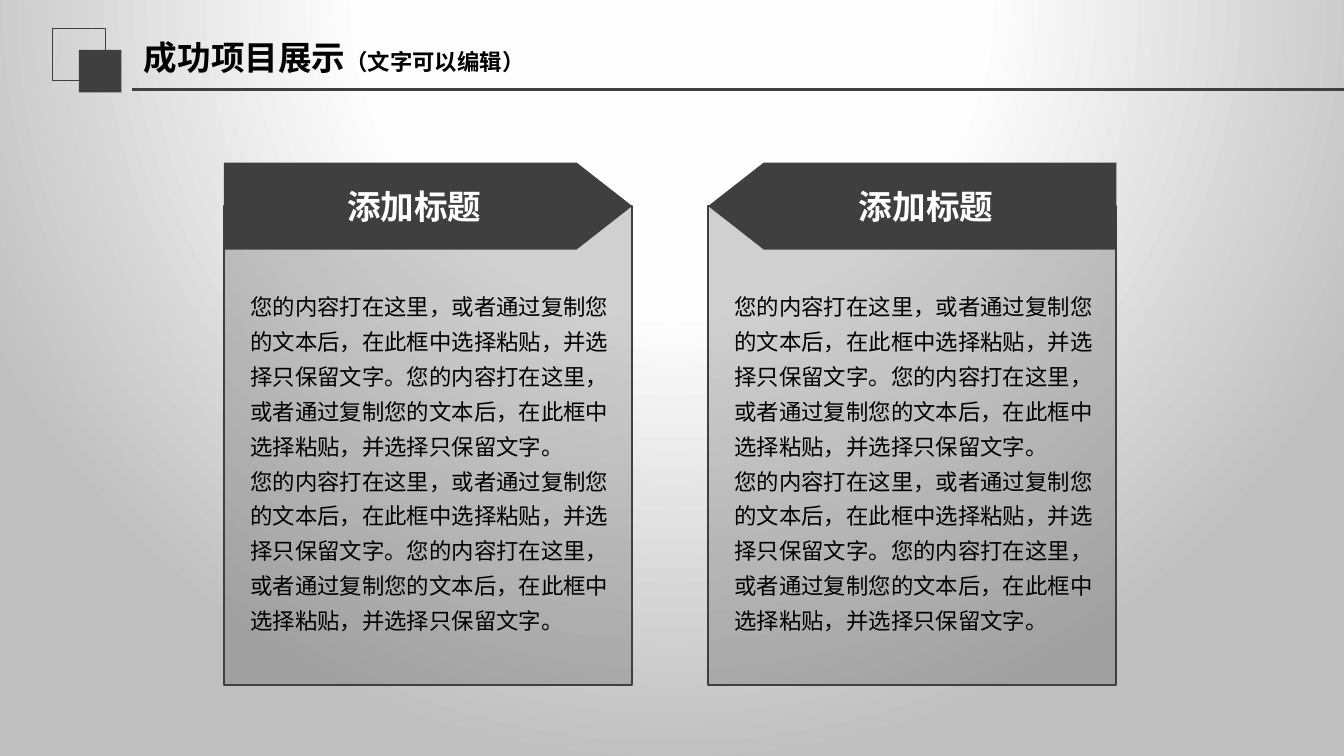
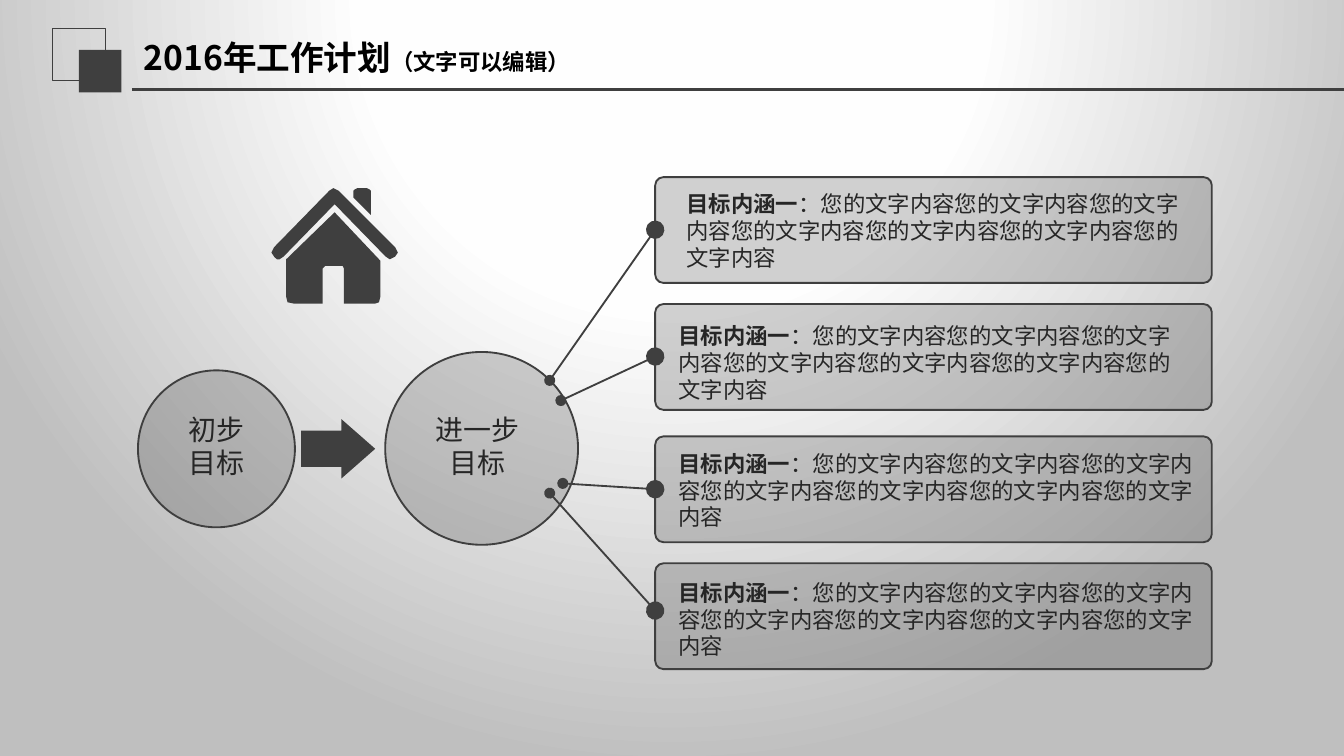
from lxml.etree import SubElement
from pptx import Presentation
from pptx.dml.color import RGBColor
from pptx.enum.shapes import MSO_CONNECTOR, MSO_SHAPE
from pptx.enum.text import MSO_ANCHOR, PP_ALIGN
from pptx.oxml import parse_xml
from pptx.oxml.ns import nsdecls, qn
from pptx.util import Pt

COLORS = {"dark": "3F3F3F", "text": "262626", "black": "000000", "white": "FFFFFF",
          "near_white": "FEFEFE", "silver": "BFBFBF"}
LATIN_FONT = "Calibri"
CHINESE_FONT = "Noto Sans CJK SC"
GLASS_OPACITY = 24
TITLE_BOX = (69.84, 15.12, 256.32, 30.96)
TITLE_NOTE = "（文字可以编辑）"

PANEL_SENTENCE = "您的内容打在这里，或者通过复制您的文本后，在此框中选择粘贴，并选择只保留文字。"
GOAL_HEADING = "目标内涵一"
GOAL_TEXT = "：" + "您的文字内容" * 7

HOUSE_UNIT = 0.72
HOUSE_OUTLINES = {
    "chimney": [(276, 142), (275.4, 140.6), (273, 140), (266, 140), (263.7, 140.6),
                (263, 142), (263, 147), (276, 160)],
    "roof": [(294, 184), (252, 142), (248.5, 140.5), (245, 142), (204, 184), (201.8, 188),
             (204, 191), (206, 193), (208.5, 193), (211, 191), (249, 152), (287, 191),
             (290.5, 193.3), (294, 191), (296, 188)],
    "walls": [(213, 193), (213, 221), (214.5, 224.6), (219, 226), (240, 226), (240, 200),
              (242, 198), (255, 198), (256, 200), (256, 226), (279, 226), (282, 224.6),
              (283, 221), (283, 194), (249, 158)],
}


def rgb(name):
    """Return the named palette colour."""
    return RGBColor.from_string(COLORS[name])


def place(shape, left, top, width, height):
    """Move and size a shape, in points."""
    shape.left, shape.top = Pt(left), Pt(top)
    shape.width, shape.height = Pt(width), Pt(height)


def style_run(run, size, color, bold=False, font=CHINESE_FONT):
    """Format a run, with the Chinese font for East Asian glyphs."""
    run.font.size = Pt(size)
    run.font.bold = bold
    run.font.name = font
    run.font.color.rgb = rgb(color)
    east_asian = SubElement(run.font._element, qn("a:ea"))
    east_asian.set("typeface", CHINESE_FONT)


def add_run(paragraph, text, *style, **options):
    """Append a formatted run to a paragraph."""
    run = paragraph.add_run()
    run.text = text
    style_run(run, *style, **options)


def set_insets(frame):
    """Apply the narrow text margins of the deck."""
    frame.margin_left = frame.margin_right = Pt(5.4)
    frame.margin_top = frame.margin_bottom = Pt(2.7)


def add_figure(slide, kind, box, fill=None, line_width=None, opacity=None, adjustments=()):
    """Add a preset shape in the dark colour of the deck."""
    shape = slide.shapes.add_shape(kind, *map(Pt, box))
    shape.shadow.inherit = False
    for index, value in enumerate(adjustments):
        shape.adjustments[index] = value
    if fill:
        shape.fill.solid()
        shape.fill.fore_color.rgb = rgb(fill)
    else:
        shape.fill.background()
    if opacity:
        color = shape.element.spPr.find(qn("a:solidFill"))[0]
        SubElement(color, qn("a:alpha")).set("val", str(opacity * 1000))
    if line_width:
        shape.line.color.rgb = rgb("dark")
        shape.line.width = Pt(line_width)
    else:
        shape.line.fill.background()
    return shape


def add_glass(slide, kind, box, adjustments=()):
    """Add a translucent outlined shape."""
    return add_figure(slide, kind, box, "dark", 1, GLASS_OPACITY, adjustments)


def add_line(slide, start, end, width, dots=None):
    """Add a straight line, with optional dot sizes at its two ends."""
    line = slide.shapes.add_connector(MSO_CONNECTOR.STRAIGHT, *map(Pt, start + end))
    line.line.color.rgb = rgb("dark")
    line.line.width = Pt(width)
    properties = line.element.spPr
    if dots:
        for tag, size in zip(("a:headEnd", "a:tailEnd"), dots):
            dot = SubElement(properties.find(qn("a:ln")), qn(tag))
            dot.set("type", "oval")
            dot.set("w", size)
            dot.set("len", size)
    SubElement(properties, qn("a:effectLst"))
    return line


def add_text(slide, box, paragraphs, size, color, align=PP_ALIGN.LEFT, spacing=None):
    """Add a text box of paragraphs, each a list of (text, bold) runs."""
    frame = slide.shapes.add_textbox(*map(Pt, box)).text_frame
    frame.word_wrap = True
    set_insets(frame)
    for index, runs in enumerate(paragraphs):
        paragraph = frame.add_paragraph() if index else frame.paragraphs[0]
        paragraph.alignment = align
        paragraph.line_spacing = spacing
        for text, bold in runs:
            add_run(paragraph, text, size, color, bold)


def set_background(layout):
    """Give the layout a radial gradient lit from above."""
    stops = "".join(
        f'<a:gs pos="{position * 1000}"><a:srgbClr val="{COLORS[name]}"/></a:gs>'
        for position, name in ((0, "white"), (40, "near_white"), (100, "silver")))
    gradient = parse_xml(
        f'<a:gradFill {nsdecls("a")} rotWithShape="1"><a:gsLst>{stops}</a:gsLst>'
        '<a:path path="circle"><a:fillToRect l="50000" t="-80000" r="50000" b="180000"/>'
        '</a:path></a:gradFill>')
    layout.background.fill.solid()
    properties = layout.element.find(".//" + qn("p:bgPr"))
    properties.replace(properties[0], gradient)


def prepare_layout(layout, slide):
    """Set the shared background and header, drawn on a slide and moved to the layout."""
    set_background(layout)
    for placeholder in list(layout.placeholders):
        if placeholder.placeholder_format.idx == 0:
            place(placeholder, *TITLE_BOX)
        else:
            layout.shapes.element.remove(placeholder.element)
    header = [
        add_figure(slide, MSO_SHAPE.RECTANGLE, (28.2, 15.1, 28.2, 28.2), line_width=0.75),
        add_figure(slide, MSO_SHAPE.RECTANGLE, (42.3, 26.8, 22.8, 22.8), "dark"),
        add_line(slide, (70.6, 48), (720, 48), 1.25),
    ]
    for number, shape in enumerate(header, 100):
        shape.element.xpath(".//p:cNvPr")[0].set("id", str(number))
        layout.shapes.element.append(shape.element)


def set_title(slide, parts):
    """Fill the title with (text, font) parts followed by the small note."""
    title = slide.shapes.title
    place(title, *TITLE_BOX)
    frame = title.text_frame
    frame.vertical_anchor = MSO_ANCHOR.MIDDLE
    paragraph = frame.paragraphs[0]
    paragraph.alignment = PP_ALIGN.LEFT
    for text, font in parts:
        add_run(paragraph, text, 18, "black", True, font=font)
    add_run(paragraph, TITLE_NOTE, 12, "black", True, font=LATIN_FONT)


def add_panel(slide, left, flipped):
    """Add a panel with an arrow-shaped heading and two paragraphs."""
    add_glass(slide, MSO_SHAPE.RECTANGLE, (left, 110.4, 218.7, 256.5))
    heading = add_figure(slide, MSO_SHAPE.PENTAGON, (left, 87.1, 218.7, 46.6), "dark",
                         adjustments=(0.639,))
    if flipped:
        heading.element.spPr.find(qn("a:xfrm")).set("flipH", "1")
    frame = heading.text_frame
    frame.word_wrap = False
    frame.vertical_anchor = MSO_ANCHOR.MIDDLE
    set_insets(frame)
    frame.text = "添加标题"
    frame.paragraphs[0].alignment = PP_ALIGN.CENTER
    style_run(frame.paragraphs[0].runs[0], 18, "white", True)
    add_text(slide, (left + 8.7, 150, 210, 194.4), [[(PANEL_SENTENCE * 2, False)]] * 2,
             12, "black", spacing=1.3)


def add_house(slide):
    """Add the house icon as one freeform of three outlines."""
    builder = None
    for points in HOUSE_OUTLINES.values():
        if builder is None:
            builder = slide.shapes.build_freeform(*points[0], scale=Pt(HOUSE_UNIT))
        else:
            builder.move_to(*points[0])
        builder.add_line_segments(points[1:], close=True)
    house = builder.convert_to_shape()
    house.shadow.inherit = False
    house.fill.solid()
    house.fill.fore_color.rgb = rgb("dark")
    house.line.fill.background()


def add_goal_circle(slide, left, top, diameter, label_left, lines):
    """Add a goal circle and its centred label."""
    add_glass(slide, MSO_SHAPE.OVAL, (left, top, diameter, diameter))
    add_text(slide, (label_left, 218.2, 64.1, 44.6), [[(line, False)] for line in lines],
             15, "text", PP_ALIGN.CENTER)


def add_goal(slide, box_top, text_box, start, end_top):
    """Add a goal box, its text and the line that leads to it."""
    add_glass(slide, MSO_SHAPE.ROUNDED_RECTANGLE, (351, box_top, 298.2, 56.7), (0.078,))
    add_text(slide, text_box, [[(GOAL_HEADING, True), (GOAL_TEXT, False)]], 12, "text")
    add_line(slide, start, (351, end_top), 1, ("med", "lg"))


def build_projects(slide):
    """Build the slide of two facing panels."""
    set_title(slide, [("成功项目展示", LATIN_FONT)])
    add_panel(slide, 120, False)
    add_panel(slide, 379.4, True)


def build_plan(slide):
    """Build the slide of two goals and four goal details."""
    set_title(slide, [("2016年", CHINESE_FONT), ("工作计划", LATIN_FONT)])
    add_figure(slide, MSO_SHAPE.RIGHT_ARROW, (161.3, 224.5, 39.7, 31.9), "dark",
               adjustments=(0.609, 0.569))
    add_goal_circle(slide, 73.9, 198.4, 84.1, 84, ["初步", "目标"])
    add_goal_circle(slide, 206.4, 188.6, 103.3, 223.7, ["进一步目标"])
    goals = [
        (94.9, (362.3, 99.4, 276.5, 49), (294.5, 203.8), 123.1),
        (162.9, (358, 170.1, 280.8, 49), (300.5, 214.6), 191),
        (233.8, (358, 238.3, 291.6, 49), (301.5, 259), 262.1),
        (301.8, (358, 307.4, 291.6, 40.3), (294.5, 264.2), 327.1),
    ]
    for goal in goals:
        add_goal(slide, *goal)
    add_house(slide)


def main():
    """Build and save the presentation."""
    presentation = Presentation()
    presentation.slide_width, presentation.slide_height = Pt(720), Pt(405)
    layout = presentation.slide_layouts[5]
    projects = presentation.slides.add_slide(layout)
    prepare_layout(layout, projects)
    build_projects(projects)
    build_plan(presentation.slides.add_slide(layout))
    presentation.save("out.pptx")


main()
